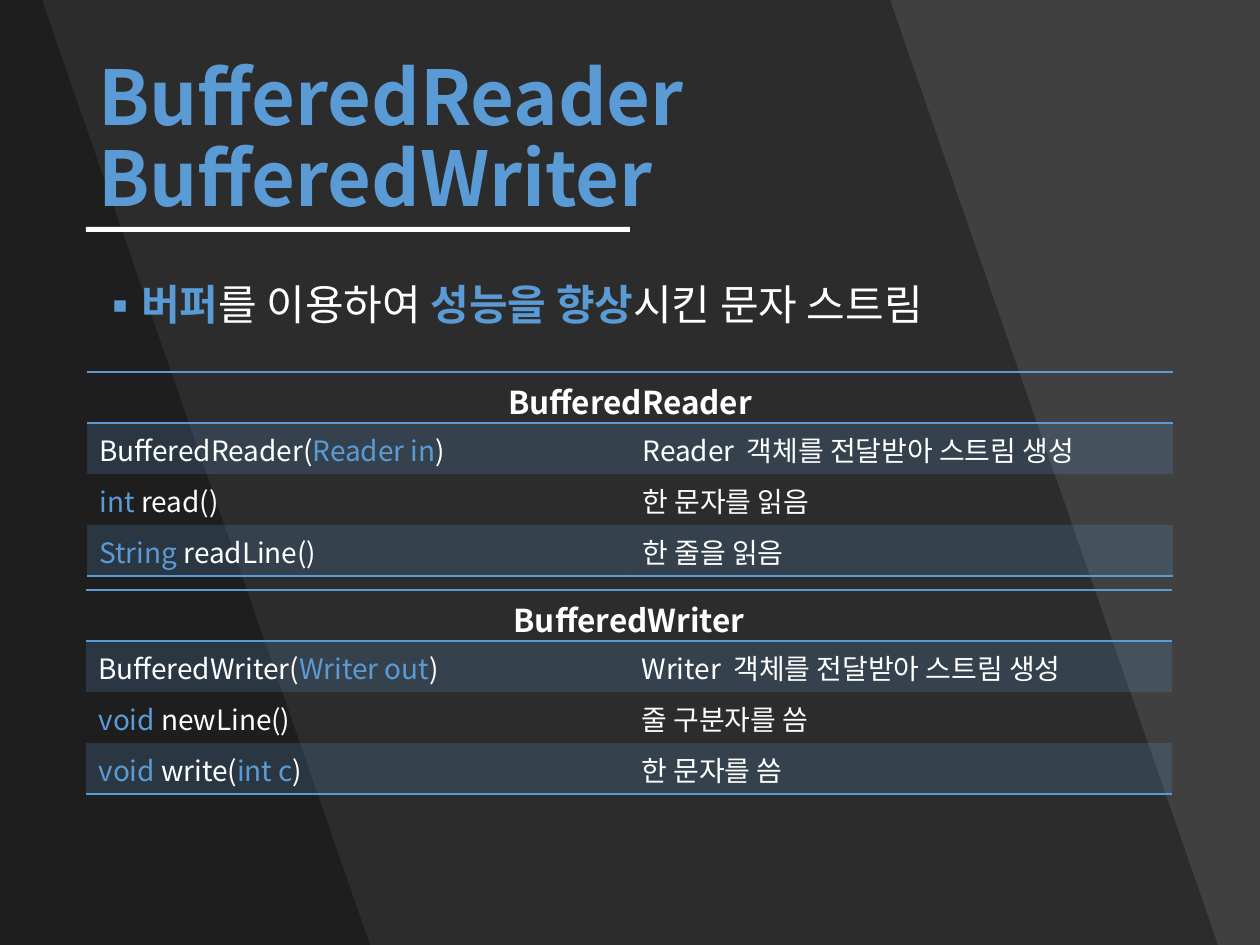
import pptx
import pptx.util
import pptx.dml.color
import pptx.enum.text
import pptx.oxml
import pptx.oxml.ns
from lxml import etree

RGBColor = pptx.dml.color.RGBColor
BACKDROP = RGBColor(0x40, 0x40, 0x40)
BLACK = RGBColor(0, 0, 0)
WHITE = RGBColor(255, 255, 255)
BLUE = RGBColor(0x5B, 0x9B, 0xD5)
FONT = "Noto Sans CJK KR"
NO_STYLE = "{2D5ABB26-0587-4C30-8999-92F81FD0307C}"

title = "BufferedReader\vBufferedWriter"
summary = [("버퍼", BLUE), ("를 이용하여 ", WHITE), ("성능을 향상", BLUE), ("시킨 문자 스트림", WHITE)]
classes = [
    ((87, 372), "BufferedReader", [
        ([("BufferedReader(", WHITE), ("Reader in", BLUE), (")", WHITE)], "Reader  객체를 전달받아 스트림 생성"),
        ([("int", BLUE), (" read()", WHITE)], "한 문자를 읽음"),
        ([("String ", BLUE), ("readLine()", WHITE)], "한 줄을 읽음"),
    ]),
    ((86, 590), "BufferedWriter", [
        ([("BufferedWriter(", WHITE), ("Writer out", BLUE), (")", WHITE)], "Writer  객체를 전달받아 스트림 생성"),
        ([("void ", BLUE), ("newLine()", WHITE)], "줄 구분자를 씀"),
        ([("void", BLUE), (" write(", WHITE), ("int c", BLUE), (")", WHITE)], "한 문자를 씀"),
    ]),
]
WIDTH, HEIGHT = 1260, 945
band_tops = [890, 42]
BAND_SLANT = 328
COLUMN, ROW = 543, 51


def px(value):
    return round(value * 914400 / 126)


def paint(fill, color, alpha=None):
    fill.solid()
    fill.fore_color.rgb = color
    if alpha:
        for node in fill._xPr.iter(pptx.oxml.ns.qn("a:srgbClr")):
            etree.SubElement(node, pptx.oxml.ns.qn("a:alpha"), val=str(alpha * 1000))


def add_run(paragraph, text, color, size, bold=False):
    for index, line in enumerate(text.split("\v")):
        if index:
            paragraph.add_line_break()
        run = paragraph.add_run()
        run.text = line
        run.font.size = pptx.util.Pt(size)
        run.font.bold = bold
        run.font.name = FONT
        run.font.color.rgb = color
        etree.SubElement(run.font._element, pptx.oxml.ns.qn("a:ea"), typeface=FONT)


def add_text(left, top, width, height, anchor):
    frame = slide.shapes.add_textbox(px(left), px(top), px(width), px(height)).text_frame
    frame.word_wrap = True
    frame.vertical_anchor = anchor
    frame.paragraphs[0].line_spacing = 0.9
    return frame.paragraphs[0]


def add_border(cell, side):
    line = pptx.oxml.parse_xml(
        f'<a:{side} {pptx.oxml.ns.nsdecls("a")} w="12700"><a:solidFill>'
        f'<a:srgbClr val="{BLUE}"/></a:solidFill></a:{side}>')
    properties = cell._tc.get_or_add_tcPr()
    position = sum(child.tag.endswith(("lnT", "lnB")) for child in properties)
    properties.insert(position, line)


def fill_cell(cell, runs, size, bold=False):
    cell.vertical_anchor = pptx.enum.text.MSO_ANCHOR.MIDDLE
    for text, color in runs:
        add_run(cell.text_frame.paragraphs[0], text, color, size, bold)


def add_class_table(origin, name, methods):
    frame = slide.shapes.add_table(len(methods) + 1, 2, px(origin[0]), px(origin[1]),
                                   px(2 * COLUMN), px((len(methods) + 1) * ROW))
    table = frame.table
    table.first_row = table.horz_banding = False
    table._tbl.tblPr.find(pptx.oxml.ns.qn("a:tableStyleId")).text = NO_STYLE
    heading = table.cell(0, 0)
    heading.merge(table.cell(0, 1))
    fill_cell(heading, [(name, WHITE)], 18, True)
    heading.text_frame.paragraphs[0].alignment = pptx.enum.text.PP_ALIGN.CENTER
    for column in range(2):
        table.cell(0, column).fill.background()
        add_border(table.cell(0, column), "lnT")
        add_border(table.cell(0, column), "lnB")
    for row, (signature, meaning) in enumerate(methods, 1):
        for column, runs in enumerate((signature, [(meaning, WHITE)])):
            cell = table.cell(row, column)
            fill_cell(cell, runs, 16)
            if row % 2:
                paint(cell.fill, BLUE, 20)
            else:
                cell.fill.background()
            if row == len(methods):
                add_border(cell, "lnB")


presentation = pptx.Presentation()
presentation.slide_width, presentation.slide_height = px(WIDTH), px(HEIGHT)
slide = presentation.slides.add_slide(presentation.slide_layouts[6])
paint(slide.background.fill, BACKDROP)

for band_top in band_tops:
    outline = slide.shapes.build_freeform(0, 0, scale=914400 / 126)
    outline.add_line_segments([(band_top, 0), (band_top + BAND_SLANT, HEIGHT), (0, HEIGHT)])
    band = outline.convert_to_shape()
    band.shadow.inherit = False
    paint(band.fill, BLACK, 30)
    band.line.fill.background()

heading_line = add_text(86, 50, 1087, 183, pptx.enum.text.MSO_ANCHOR.MIDDLE)
add_run(heading_line, title, BLUE, 43.2, True)

summary_line = add_text(87, 278, 1086, 572, pptx.enum.text.MSO_ANCHOR.TOP)
summary_line.space_before = pptx.util.Pt(10)
bullet = summary_line._p.get_or_add_pPr()
bullet.set("marL", "228600")
bullet.set("indent", "-228600")
bullet_color = etree.SubElement(bullet, pptx.oxml.ns.qn("a:buClr"))
etree.SubElement(bullet_color, pptx.oxml.ns.qn("a:srgbClr"), val=str(BLUE))
etree.SubElement(bullet, pptx.oxml.ns.qn("a:buFont"), typeface=FONT)
etree.SubElement(bullet, pptx.oxml.ns.qn("a:buChar"), char="▪")
for text, color in summary:
    add_run(summary_line, text, color, 24, color == BLUE)

underline = slide.shapes.add_shape(pptx.enum.shapes.MSO_SHAPE.RECTANGLE, px(86), px(227), px(544), px(5))
underline.shadow.inherit = False
paint(underline.fill, WHITE)
underline.line.fill.background()

for origin, name, methods in classes:
    add_class_table(origin, name, methods)

presentation.save("out.pptx")
